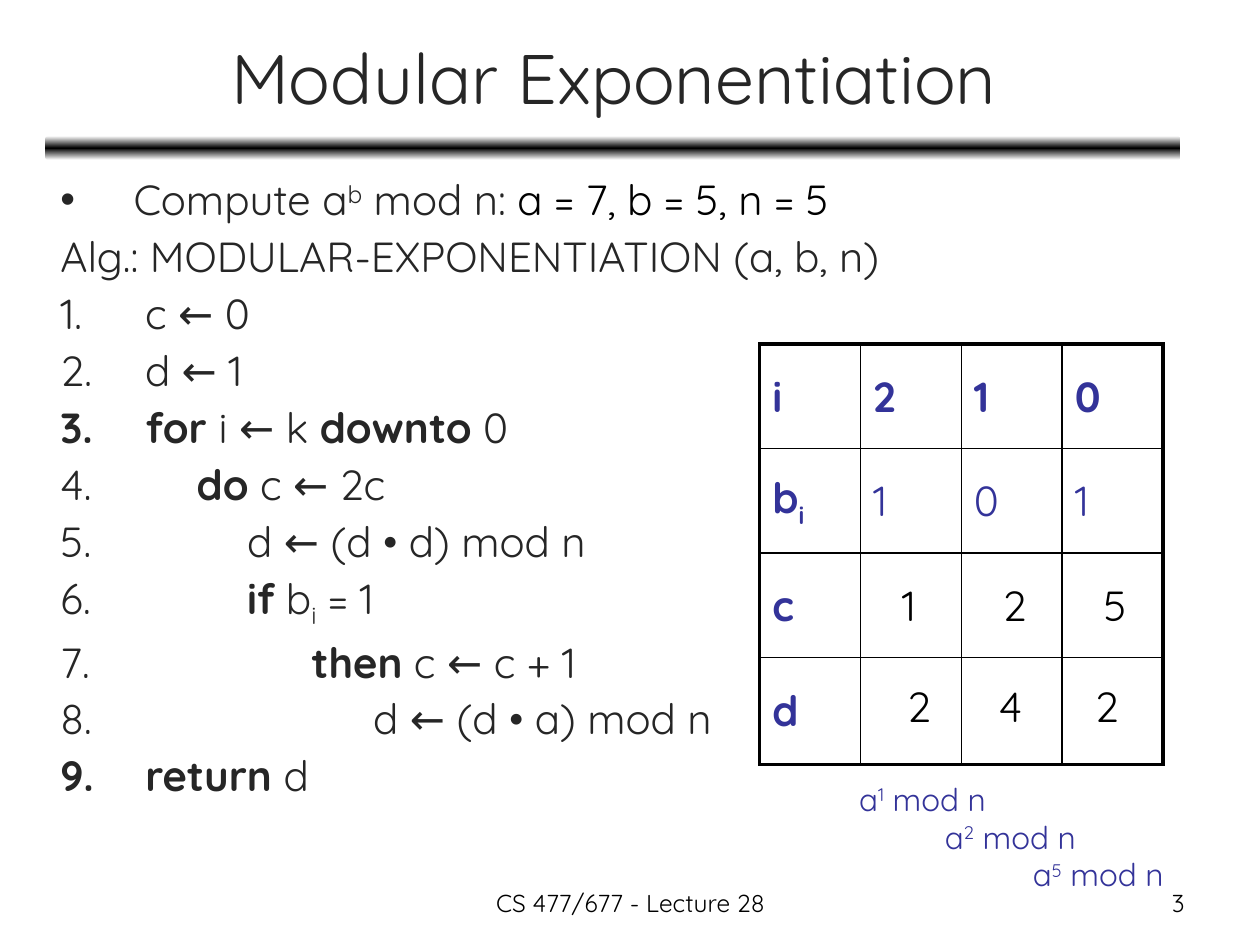
import copy

import pptx
import pptx.dml.color
import pptx.enum.shapes
import pptx.enum.text
import pptx.oxml.ns
import pptx.oxml.xmlchemy
import pptx.util
from lxml import etree

Inches = pptx.util.Inches
Pt = pptx.util.Pt
qn = pptx.oxml.ns.qn
ALIGN = pptx.enum.text.PP_ALIGN
ANCHOR = pptx.enum.text.MSO_ANCHOR
AUTO_SIZE = pptx.enum.text.MSO_AUTO_SIZE

FONT = "Quicksand"
COLORS = {"black": "000000", "white": "FFFFFF", "gray": "262626", "blue": "333399"}
BASELINES = {"super": "30000", "sub": "-25000"}

TITLE = "Modular Exponentiation"
HANGING = 0.58
INTRO = [
    ("•", [("Compute a", ""), ("b", "super"), (" mod n: ", ""), ("a = 7, b = 5, n = 5", "black")]),
    (None, [("Alg.: MODULAR-EXPONENTIATION (a, b, n)", "")]),
]
STEPS = [
    (0, [(" c ← 0", "")]),
    (0, [(" d ← 1", "")]),
    (0, [(" for ", "bold"), ("i ← k ", ""), ("downto", "bold"), (" 0", "")]),
    (0.41, [(" ", ""), ("do", "bold"), (" c ← 2c", "")]),
    (0.81, [(" d ← (d • d) mod n", "")]),
    (0.81, [(" ", ""), ("if", "bold"), (" b", ""), ("i", "sub"), (" = 1", "")]),
    (1.32, [(" ", ""), ("then", "bold"), (" c ← c + 1", "")]),
    (1.81, [(" d ← (d • a) mod n", "")]),
    (0, [(" return", "bold"), (" d", "")]),
]
TABLE = [
    [[("i", "bold")], [("2", "bold")], [("1", "bold")], [("0", "bold")]],
    [[("b", "bold"), ("i", "bold sub")], [("1", "")], [("0", "")], [("1", "")]],
    [[("c", "bold")], [], [], []],
    [[("d", "bold")], [], [], []],
]
ROW_HEIGHTS = [0.83, 0.83, 0.83, 0.85]
COLUMN_WIDTH = 0.8
RESULTS = [
    (4.55, [("1", 7.06), ("2", 7.86), ("5", 8.66)]),
    (5.35, [("2", 7.1), ("4", 7.83), ("2", 8.59)]),
]
POWERS = [("1", 6.72), ("2", 7.4), ("5", 8.1)]
FOOTERS = [
    ("3", 7.17, 2.33, ALIGN.RIGHT),
    ("CS 477/677 - Lecture 28", 3.42, 3.17, ALIGN.CENTER),
]


def rgb(name):
    return pptx.dml.color.RGBColor.from_string(COLORS[name])


def place(shape, left, top, width, height):
    shape.left, shape.top = Inches(left), Inches(top)
    shape.width, shape.height = Inches(width), Inches(height)


def write(paragraph, runs, size, color, align=ALIGN.LEFT):
    paragraph.alignment = align
    font = paragraph.font
    font.name, font.size = FONT, Pt(size)
    font.color.rgb = rgb(color)
    for text, styles in runs:
        run = paragraph.add_run()
        run.text = text
        for style in styles.split():
            if style == "bold":
                run.font.bold = True
            elif style in BASELINES:
                run._r.get_or_add_rPr().set("baseline", BASELINES[style])
            else:
                run.font.color.rgb = rgb(style)


def set_bullet(paragraph, margin, tag, **attributes):
    properties = paragraph._p.get_or_add_pPr()
    properties.set("marL", str(Inches(margin)))
    properties.set("indent", str(-Inches(margin)))
    etree.SubElement(properties, qn(tag), attributes)


def add_text(slide, box, runs, size, color, align=ALIGN.LEFT, wrap=False):
    shape = slide.shapes.add_textbox(*map(Inches, box))
    frame = shape.text_frame
    frame.word_wrap = wrap
    frame.auto_size = AUTO_SIZE.NONE if wrap else AUTO_SIZE.SHAPE_TO_FIT_TEXT
    write(frame.paragraphs[0], runs, size, color, align)


def add_rule(slide):
    rule = slide.shapes.add_shape(
        pptx.enum.shapes.MSO_SHAPE.ROUNDED_RECTANGLE,
        *map(Inches, (0.36, 1.08, 9.01, 0.19)))
    rule.shadow.inherit = False
    rule.line.fill.background()
    rule.fill.gradient()
    rule.fill.gradient_angle = 90
    stop_list = rule._element.spPr.find(".//" + qn("a:gsLst"))
    stop_list.insert(1, copy.deepcopy(stop_list[0]))
    stops = rule.fill.gradient_stops
    for stop, position, color in zip(stops, (0, 0.5, 1), ("white", "black", "white")):
        stop.position = position
        stop.color.rgb = rgb(color)


def add_body(slide):
    body = slide.placeholders[1]
    place(body, 0.38, 1.33, 9, 5.55)
    frame = body.text_frame
    frame.auto_size = AUTO_SIZE.NONE
    frame.vertical_anchor = ANCHOR.TOP
    lines = [(0, symbol, runs) for symbol, runs in INTRO]
    lines += [(indent, "number", runs) for indent, runs in STEPS]
    for index, (indent, marker, runs) in enumerate(lines):
        paragraph = frame.add_paragraph() if index else frame.paragraphs[0]
        paragraph.space_before = Pt(3.7 if index else 0)
        margin = HANGING + indent
        if marker == "number":
            set_bullet(paragraph, margin, "a:buAutoNum", type="arabicPeriod")
        elif marker:
            set_bullet(paragraph, margin, "a:buChar", char=marker)
        else:
            set_bullet(paragraph, margin, "a:buNone")
        write(paragraph, runs, 24, "gray")


def set_borders(cell, outer_sides):
    properties = cell._tc.get_or_add_tcPr()
    for side in "LRTB":
        width = Pt(2.25 if side in outer_sides else 1)
        line = etree.SubElement(properties, qn("a:ln" + side), w=str(width))
        fill = etree.SubElement(line, qn("a:solidFill"))
        etree.SubElement(fill, qn("a:srgbClr"), val=COLORS["black"])


def add_trace_table(slide):
    count = len(TABLE[0])
    table = slide.shapes.add_table(
        len(TABLE), count, Inches(6.03), Inches(2.73),
        Inches(COLUMN_WIDTH * count), Inches(sum(ROW_HEIGHTS))).table
    table.first_row = table.horz_banding = False
    for column in table.columns:
        column.width = Inches(COLUMN_WIDTH)
    for y, (row, height) in enumerate(zip(TABLE, ROW_HEIGHTS)):
        table.rows[y].height = Inches(height)
        for x, runs in enumerate(row):
            cell = table.cell(y, x)
            edges = {"L": x == 0, "R": x == count - 1, "T": y == 0, "B": y == len(TABLE) - 1}
            set_borders(cell, [side for side, outer in edges.items() if outer])
            cell.fill.background()
            cell.vertical_anchor = ANCHOR.MIDDLE
            if runs:
                write(cell.text_frame.paragraphs[0], runs, 24, "blue")


def main():
    presentation = pptx.Presentation()
    presentation.slide_width, presentation.slide_height = Inches(10), Inches(7.5)
    slide = presentation.slides.add_slide(presentation.slide_layouts[1])
    add_rule(slide)
    title = slide.shapes.title
    place(title, 0.37, 0.11, 9, 0.99)
    title.text_frame.vertical_anchor = ANCHOR.MIDDLE
    write(title.text_frame.paragraphs[0], [(TITLE, "")], 40, "gray", ALIGN.CENTER)
    add_body(slide)
    add_trace_table(slide)
    for top, values in RESULTS:
        for value, left in values:
            add_text(slide, (left, top, 0.39, 0.5), [(value, "")], 24, "black")
    for index, (power, left) in enumerate(POWERS):
        runs = [("a", ""), (power, "super"), (" mod n", "")]
        add_text(slide, (left, 6.14 + 0.3 * index, 1.34, 0.4), runs, 18, "blue")
    for text, left, width, align in FOOTERS:
        add_text(slide, (left, 7, width, 0.35), [(text, "")], 14, "black", align, True)
    presentation.save("out.pptx")


if __name__ == "__main__":
    main()
